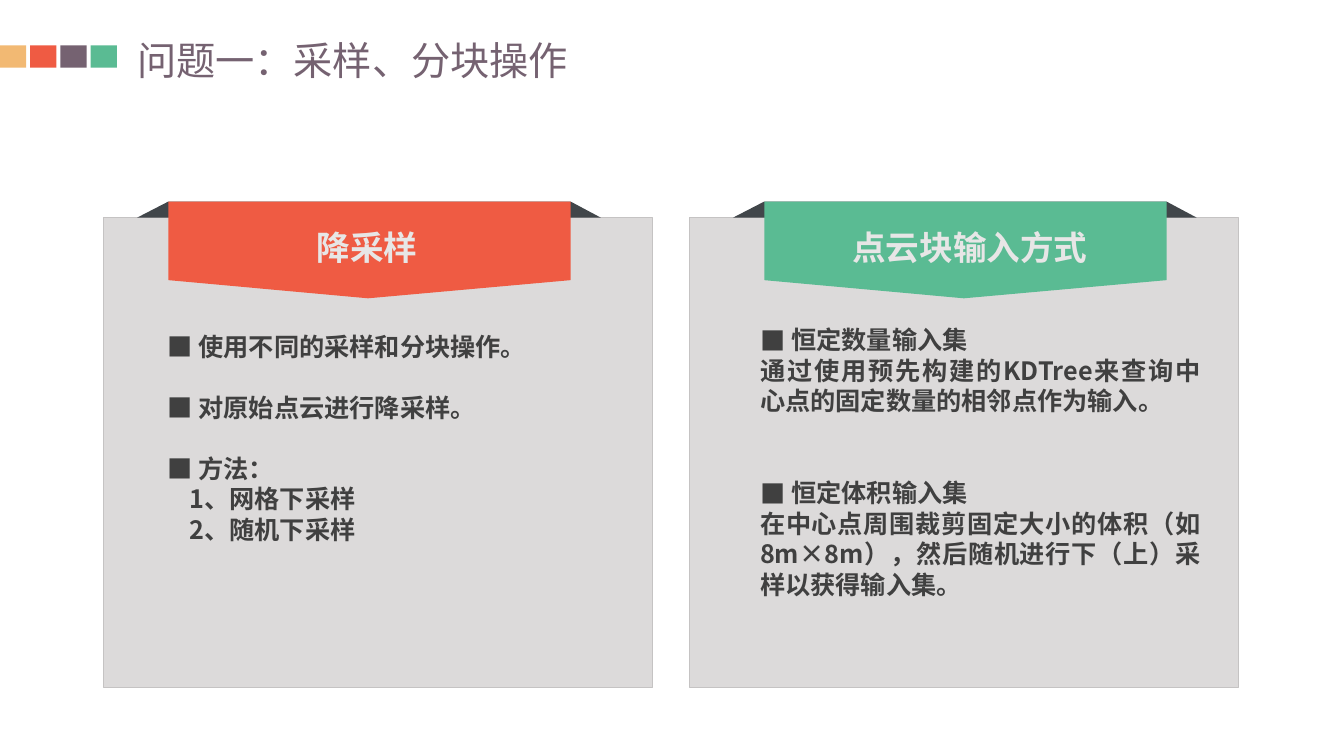
"""Build the slide on sampling and block splitting of point clouds."""
from dataclasses import dataclass

from lxml.etree import SubElement
from pptx import Presentation
from pptx.dml.color import RGBColor
from pptx.enum.shapes import MSO_SHAPE
from pptx.enum.text import PP_ALIGN
from pptx.oxml.ns import qn
from pptx.slide import Slide
from pptx.util import Inches, Pt

FONT = "Noto Sans CJK SC"
COLORS = {
    "sand": "F2B973", "red": "EF5B43", "plum": "756271", "green": "5ABB93",
    "panel": "DCDADA", "panel_line": "C5C3C3", "fold": "41464A",
    "caption": "E7E6E6", "body": "404040",
}
BODY_LINE = 21.8
RIBBON_WIDTH, RIBBON_TOP, PANEL_TOP = 3.99, 2.0, 2.16
Point = tuple[float, float]


@dataclass(frozen=True)
class Line:
    text: str
    bullet: bool = False
    indent: float = 0
    blank_lines: int = 0


@dataclass(frozen=True)
class Card:
    caption: str
    color: str
    panel_left: float
    ribbon_left: float
    caption_left: float
    body_box: tuple[float, float, float, float]
    lines: tuple[Line, ...]


CARDS = (
    Card("降采样", "red", 1.03, 1.67, 2.29, (1.56, 3.23, 4.41, 2.22), (
        Line("使用不同的采样和分块操作。", bullet=True),
        Line("对原始点云进行降采样。", bullet=True, blank_lines=1),
        Line("方法：", bullet=True, blank_lines=1),
        Line("1、网格下采样", indent=0.22),
        Line("2、随机下采样", indent=0.22),
    )),
    Card("点云块输入方式", "green", 6.84, 7.58, 8.27, (7.44, 3.17, 4.57, 2.83), (
        Line("恒定数量输入集", bullet=True),
        Line("通过使用预先构建的KDTree来查询中心点的固定数量的相邻点作为输入。"),
        Line("恒定体积输入集", bullet=True, blank_lines=2),
        Line("在中心点周围裁剪固定大小的体积（如8m×8m），然后随机进行下（上）采样以获得输入集。"),
    )),
)


def rgb(name: str) -> RGBColor:
    return RGBColor.from_string(COLORS[name])


def add_rectangle(slide: Slide, left: float, top: float, width: float, height: float,
                  *, fill: str, line: str | None = None) -> None:
    shape = slide.shapes.add_shape(
        MSO_SHAPE.RECTANGLE, Inches(left), Inches(top), Inches(width), Inches(height))
    shape.shadow.inherit = False
    shape.fill.solid()
    shape.fill.fore_color.rgb = rgb(fill)
    if line:
        shape.line.color.rgb = rgb(line)
        shape.line.width = Pt(0.75)
    else:
        shape.line.fill.background()


def add_polygon(slide: Slide, points: list[Point], *, fill: str) -> None:
    corners = [(Inches(x), Inches(y)) for x, y in points]
    builder = slide.shapes.build_freeform(*corners[0])
    builder.add_line_segments(corners[1:], close=True)
    shape = builder.convert_to_shape()
    shape.shadow.inherit = False
    shape.fill.solid()
    shape.fill.fore_color.rgb = rgb(fill)
    shape.line.fill.background()


def add_text(slide: Slide, lines: tuple[Line, ...], box: tuple[float, float, float, float],
             *, size: float, color: str, line_height: float, bold: bool = False,
             align: PP_ALIGN = PP_ALIGN.LEFT, inset: bool = True) -> None:
    frame = slide.shapes.add_textbox(*map(Inches, box)).text_frame
    frame.word_wrap = True
    if not inset:
        frame.margin_left = frame.margin_top = frame.margin_right = frame.margin_bottom = 0
    for index, line in enumerate(lines):
        paragraph = frame.paragraphs[0] if index == 0 else frame.add_paragraph()
        paragraph.alignment = align
        paragraph.line_spacing = Pt(line_height)
        if line.blank_lines:
            paragraph.space_before = Pt(line.blank_lines * line_height)
        properties = paragraph._p.get_or_add_pPr()
        if line.bullet:
            properties.set("marL", str(Inches(0.31)))
            properties.set("indent", str(-Inches(0.31)))
            SubElement(properties, qn("a:buFont"), typeface=FONT)
            SubElement(properties, qn("a:buChar"), char="■")
        elif line.indent:
            properties.set("marL", str(Inches(line.indent)))
        run = paragraph.add_run()
        run.text = line.text
        run.font.size = Pt(size)
        run.font.bold = bold
        run.font.color.rgb = rgb(color)
        run.font.name = FONT
        SubElement(run._r.get_or_add_rPr(), qn("a:ea"), typeface=FONT)


def add_ribbon(slide: Slide, card: Card) -> None:
    left, right = card.ribbon_left, card.ribbon_left + RIBBON_WIDTH
    add_polygon(slide, [(left, RIBBON_TOP), (right, RIBBON_TOP),
                        (right + 0.3, PANEL_TOP), (left - 0.31, PANEL_TOP)], fill="fold")
    add_polygon(slide, [(left, RIBBON_TOP), (right, RIBBON_TOP), (right, 2.78),
                        (left + 1.98, 2.96), (left, 2.78)], fill=card.color)
    add_text(slide, (Line(card.caption),), (card.caption_left, 2.2, 2.7, 0.5),
             size=24, color="caption", line_height=29, bold=True, align=PP_ALIGN.CENTER)


def main() -> None:
    presentation = Presentation()
    presentation.slide_width, presentation.slide_height = Inches(13.33), Inches(7.5)
    slide = presentation.slides.add_slide(presentation.slide_layouts[6])
    for index, color in enumerate(("sand", "red", "plum", "green")):
        add_rectangle(slide, index * 0.3, 0.45, 0.26, 0.22, fill=color)
    for card in CARDS:
        add_rectangle(slide, card.panel_left, PANEL_TOP, 5.44, 4.66,
                      fill="panel", line="panel_line")
    for card in CARDS:
        add_ribbon(slide, card)
    for card in CARDS:
        add_text(slide, card.lines, card.body_box, size=18, color="body",
                 line_height=BODY_LINE, bold=True, align=PP_ALIGN.JUSTIFY)
    add_text(slide, (Line("问题一：采样、分块操作"),), (1.36, 0.36, 6.21, 0.47),
             size=28, color="plum", line_height=33.8, inset=False)
    presentation.save("out.pptx")


if __name__ == "__main__":
    main()
